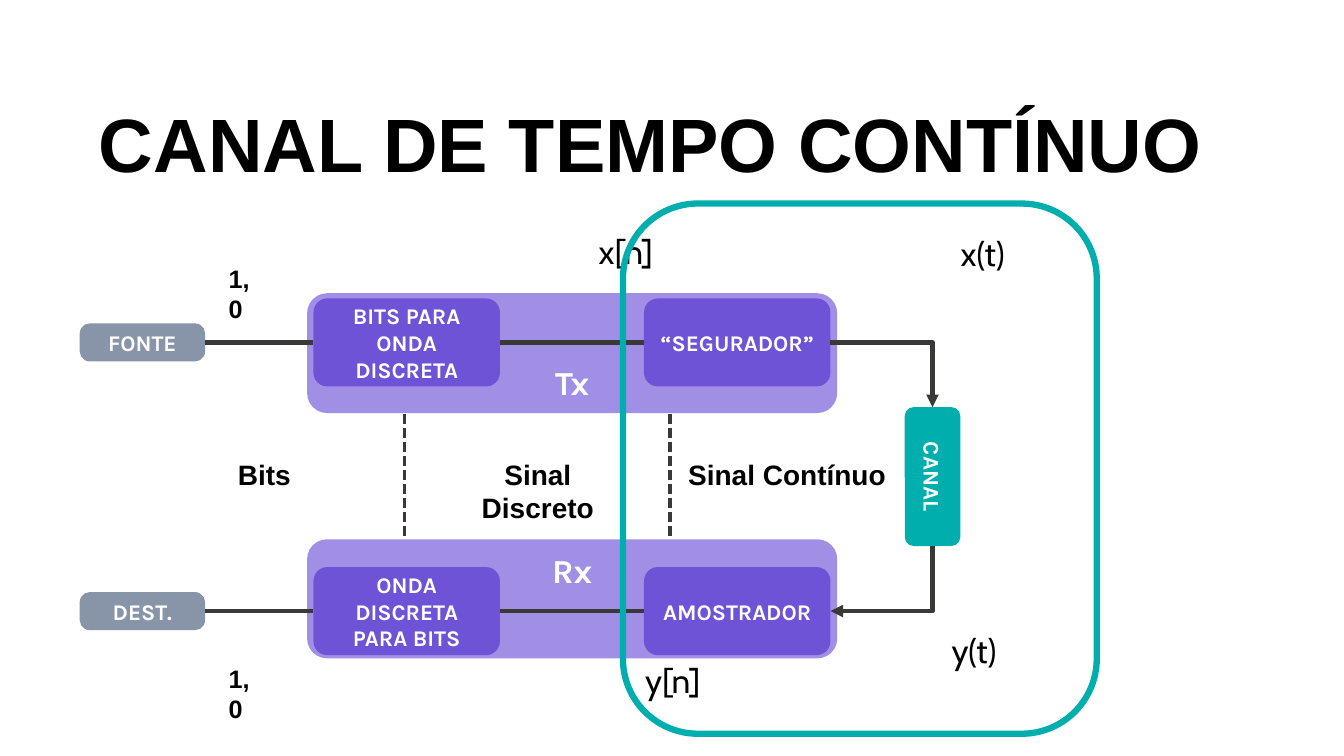
import pptx
import pptx.util
import pptx.dml.color
import pptx.enum.dml
import pptx.enum.shapes
import pptx.enum.text
import pptx.oxml
import pptx.oxml.ns
import lxml.etree

Cm = pptx.util.Cm
Align = pptx.enum.text.PP_ALIGN
Anchor = pptx.enum.text.MSO_ANCHOR
Connector = pptx.enum.shapes.MSO_CONNECTOR

COLORS = {
    "panel": "A18FE5",
    "node": "6F53D7",
    "terminal": "8895A9",
    "channel": "00AEAE",
    "line": "3B3838",
    "text": "000000",
    "light": "FFFFFF",
}
TOP, LEFT, BOTTOM, RIGHT = range(4)


def color(name):
    return pptx.dml.color.RGBColor.from_string(COLORS[name])


def add_run(paragraph, text, size, font_name, color_name, bold=True):
    run = paragraph.add_run()
    run.text = text
    run.font.size = pptx.util.Pt(size)
    run.font.name = font_name
    run.font.bold = bold
    run.font.color.rgb = color(color_name)


def add_block(slide, box, fill, lines=(), size=16, adjustment=0.158, anchor=Anchor.MIDDLE):
    shape = slide.shapes.add_shape(
        pptx.enum.shapes.MSO_SHAPE.ROUNDED_RECTANGLE, *[Cm(length) for length in box])
    shape.shadow.inherit = False
    shape.adjustments[0] = adjustment
    if fill:
        shape.fill.solid()
        shape.fill.fore_color.rgb = color(fill)
    else:
        shape.fill.background()
    shape.line.fill.background()
    frame = shape.text_frame
    frame.word_wrap = True
    frame.vertical_anchor = anchor
    for index, line in enumerate(lines):
        paragraph = frame.add_paragraph() if index else frame.paragraphs[0]
        paragraph.alignment = Align.CENTER
        add_run(paragraph, line, size, "Karla", "light")
    return shape


def add_label(slide, box, text, size, alignment=Align.CENTER):
    shape = slide.shapes.add_textbox(*[Cm(length) for length in box])
    frame = shape.text_frame
    frame.word_wrap = False
    frame.auto_size = pptx.enum.text.MSO_AUTO_SIZE.SHAPE_TO_FIT_TEXT
    frame.paragraphs[0].alignment = alignment
    add_run(frame.paragraphs[0], text, size, "Arial", "text")


def add_signal(slide, left, top, text):
    shape = slide.shapes.add_textbox(Cm(left), Cm(top), Cm(1.65), Cm(1.07))
    frame = shape.text_frame
    frame.word_wrap = True
    frame.margin_left = frame.margin_right = frame.margin_bottom = 0
    frame.margin_top = Cm(0.06)
    add_run(frame.paragraphs[0], text, 24, "Cabin", "text", bold=False)


def add_line(slide, kind, start=(0, 0), end=(0, 0), width=3):
    connector = slide.shapes.add_connector(kind, *[Cm(length) for length in (*start, *end)])
    connector.line.color.rgb = color("line")
    connector.line.width = pptx.util.Pt(width)
    lxml.etree.SubElement(connector._element.spPr, pptx.oxml.ns.qn("a:effectLst"))
    return connector


def join(slide, first, second):
    connector = add_line(slide, Connector.STRAIGHT)
    connector.begin_connect(first, RIGHT)
    connector.end_connect(second, LEFT)


def add_elbow_arrow(slide, start, end, rotation=0):
    connector = add_line(slide, Connector.ELBOW, start, end)
    properties = connector._element.spPr
    properties.find(pptx.oxml.ns.qn("a:prstGeom")).set("prst", "bentConnector2")
    properties.find(pptx.oxml.ns.qn("a:xfrm")).set("rot", str(rotation * 60000))
    tail = lxml.etree.SubElement(connector.line._get_or_add_ln(), pptx.oxml.ns.qn("a:tailEnd"))
    tail.set("type", "triangle")


def add_title(slide, box, text):
    title = slide.shapes.title
    title.left, title.top, title.width, title.height = [Cm(length) for length in box]
    frame = title.text_frame
    frame.word_wrap = True
    frame.auto_size = pptx.enum.text.MSO_AUTO_SIZE.NONE
    frame.vertical_anchor = Anchor.MIDDLE
    paragraph = frame.paragraphs[0]
    paragraph.alignment = Align.LEFT
    paragraph.line_spacing = 0.9
    add_run(paragraph, text, 54, "Arial", "text")


def add_chain(slide, box, axis, name, name_anchor, terminal_text, node_texts):
    left, top, width, height = box
    panel_offset, node_width, node_height = 5.73, 4.7, 2.22
    add_block(slide, (left + panel_offset, top, width - panel_offset, height), "panel",
              [name], 24, 0.167, name_anchor)
    terminal = add_block(slide, (left, axis - 0.48, 3.16, 0.96), "terminal",
                         [terminal_text], adjustment=0.263)
    first, second = [
        add_block(slide, (left + offset, axis - node_height / 2, node_width, node_height),
                  "node", lines)
        for offset, lines in zip((5.89, 14.22), node_texts)]
    join(slide, terminal, first)
    join(slide, first, second)


def add_channel(slide, box, upper_axis, lower_axis):
    left, top, width, height = box
    center, middle = left + width / 2, top + height / 2
    channel = add_block(slide, (center - height / 2, middle - width / 2, height, width),
                        "channel", ["CANAL"])
    channel.rotation = 90
    node_edge = 20.93
    add_elbow_arrow(slide, (node_edge, upper_axis), (center, top))
    run, drop = center - node_edge, lower_axis - top - height
    turn_x, turn_y = node_edge + run / 2, lower_axis - drop / 2
    add_elbow_arrow(slide, (turn_x - drop / 2, turn_y - run / 2),
                    (turn_x + drop / 2, turn_y + run / 2), 90)


def add_domains(slide, box):
    left, top, width, height = box
    for x in (left, left + width):
        divider = add_line(slide, Connector.STRAIGHT, (x, top + height), (x, top), 2.5)
        divider.line.dash_style = pptx.enum.dml.MSO_LINE.SQUARE_DOT
    label_top = top + 0.96
    for offset, label_width, text in ((-4.45, 1.85, "Bits"),
                                      (0.76, 5.21, "Sinal Discreto"),
                                      (6.9, 5.49, "Sinal Contínuo")):
        add_label(slide, (left + offset, label_top, label_width, 1.12), text, 20)


def add_frame(slide, box):
    frame = add_block(slide, box, None)
    frame.line.color.rgb = color("channel")
    frame.line.width = pptx.util.Pt(4.5)


def main():
    presentation = pptx.Presentation()
    presentation.slide_width = Cm(33.87)
    presentation.slide_height = Cm(19.05)
    slide = presentation.slides.add_slide(presentation.slide_layouts[5])
    upper_axis, lower_axis = 8.63, 15.4

    add_title(slide, (2.24, 1.9, 29.41, 3.68), "CANAL DE TEMPO CONTÍNUO")
    add_chain(slide, (2.01, 7.39, 19.09, 3.02), upper_axis, "Tx", Anchor.BOTTOM,
              "FONTE", (["BITS PARA", "ONDA DISCRETA"], ["“SEGURADOR”"]))
    add_chain(slide, (2.01, 13.59, 19.09, 3), lower_axis, "Rx", Anchor.TOP,
              "DEST.", (["ONDA DISCRETA PARA BITS"], ["AMOSTRADOR"]))
    add_channel(slide, (22.8, 10.26, 1.4, 3.5), upper_axis, lower_axis)
    add_domains(slide, (10.19, 10.44, 6.7, 3.07))
    for left, top, text in ((15.09, 5.77, "x[n]"), (24.21, 5.82, "x(t)"),
                            (23.98, 15.82, "y(t)"), (16.26, 16.56, "y[n]")):
        add_signal(slide, left, top, text)
    for top in (6.5, 16.59):
        add_label(slide, (5.51, top, 1.55, 1.02), "1, 0", 18, Align.LEFT)
    add_frame(slide, (15.7, 5.13, 11.94, 13.36))
    presentation.save("out.pptx")


if __name__ == "__main__":
    main()
